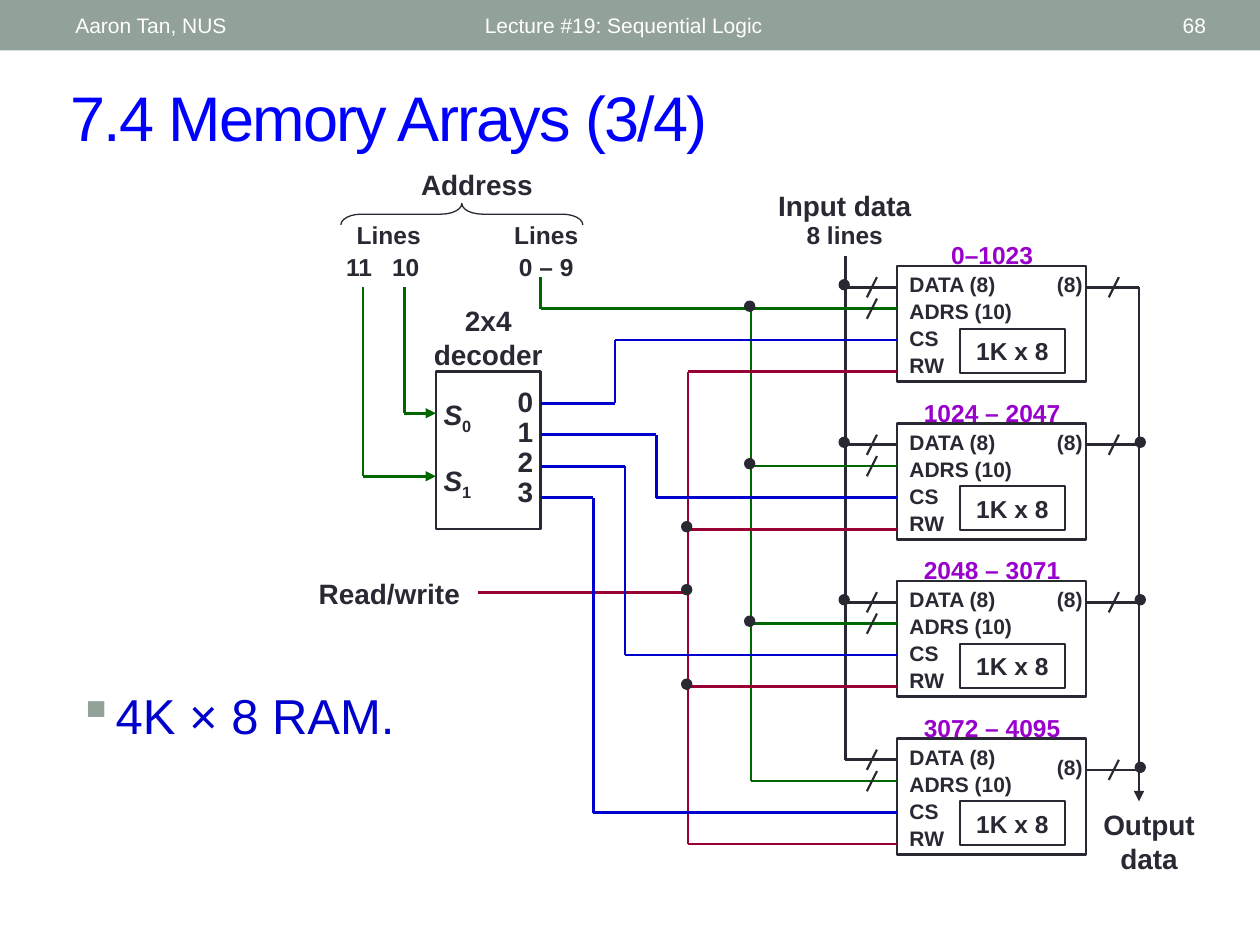
from lxml.etree import SubElement
from pptx import Presentation
from pptx.dml.color import RGBColor
from pptx.enum.shapes import MSO_CONNECTOR, MSO_SHAPE
from pptx.enum.text import MSO_ANCHOR, PP_ALIGN
from pptx.oxml.ns import qn
from pptx.util import Inches, Pt

INK = RGBColor(0x29, 0x29, 0x34)
SAGE = RGBColor(0x93, 0xA2, 0x99)
WHITE = RGBColor(0xFF, 0xFF, 0xFF)
TITLE_BLUE = RGBColor(0x00, 0x00, 0xFF)
BLUE = RGBColor(0x00, 0x00, 0xCC)
GREEN = RGBColor(0x00, 0x66, 0x00)
RED = RGBColor(0x99, 0x00, 0x33)
PURPLE = RGBColor(0x99, 0x00, 0xCC)

HEADERS = [
    ("Lecture #19: Sequential Logic", 3.75, 4.5, PP_ALIGN.LEFT),
    ("68", 8.72, 0.95, PP_ALIGN.RIGHT),
    ("Aaron Tan, NUS", 0.5, 3.17, PP_ALIGN.LEFT),
]
LABELS = [
    ("Address", 3.12, 1.28, 1.33, 0.37, 16),
    ("Lines", 2.71, 1.7, 0.75, 0.33, 14),
    ("Lines", 3.96, 1.7, 0.75, 0.33, 14),
    ("11", 2.6, 1.95, 0.5, 0.33, 14),
    ("10", 2.97, 1.95, 0.5, 0.33, 14),
    ("0 – 9", 3.96, 1.95, 0.75, 0.33, 14),
    ("2x4 decoder", 3.29, 2.36, 1.17, 0.64, 16),
    ("Read/write", 2.38, 4.53, 1.42, 0.37, 16),
    ("Input data", 6.04, 1.45, 1.33, 0.37, 16),
    ("8 lines", 6.29, 1.7, 0.83, 0.33, 14),
    ("Output data", 8.62, 6.36, 1, 0.64, 16),
]
RANGES = ["0–1023", "1024 – 2047", "2048 – 3071", "3072 – 4095"]
PINS = ["DATA (8)", "ADRS (10)", "CS", "RW"]
SELECT_TURNS = [4.88, 5.21, 4.96, 4.71]
OUTPUT_DROPS = [0.17, 0.17, 0.17, 0.25]

CHIP_LEFT, CHIP_TOP, CHIP_WIDTH, CHIP_HEIGHT, CHIP_PITCH = 7.12, 2.11, 1.5, 0.92, 1.25
CHIP_RIGHT = CHIP_LEFT + CHIP_WIDTH
DATA_DROP, ADDRESS_DROP, SELECT_DROP, WRITE_DROP = 0.17, 0.34, 0.59, 0.84
DATA_BUS, ADDRESS_BUS, WRITE_BUS, OUTPUT_BUS = 6.71, 5.96, 5.46, 9.04
DECODER_LEFT, DECODER_RIGHT = 3.46, 4.29
WRITE_INPUT = 4.7

deck = Presentation()
deck.slide_width, deck.slide_height = Inches(10), Inches(7.5)
page = deck.slides.add_slide(deck.slide_layouts[6])


def style(para, size, color, bold=False, align=PP_ALIGN.LEFT):
    para.alignment = align
    para.font.name = "Arial"
    para.font.size = Pt(size)
    para.font.bold = bold
    para.font.color.rgb = color


def write(lines, left, top, width, height, size, color=INK, bold=True,
          align=PP_ALIGN.CENTER, anchor=MSO_ANCHOR.TOP):
    box = page.shapes.add_textbox(*map(Inches, (left, top, width, height)))
    frame = box.text_frame
    frame.word_wrap = True
    frame.vertical_anchor = anchor
    frame.text = "\n".join(lines)
    for para in frame.paragraphs:
        style(para, size, color, bold, align)
    return frame


def draw(kind, left, top, width, height, fill=None, line=INK, weight=1.5):
    shape = page.shapes.add_shape(kind, *map(Inches, (left, top, width, height)))
    shape.shadow.inherit = False
    if fill is None:
        shape.fill.background()
    else:
        shape.fill.solid()
        shape.fill.fore_color.rgb = fill
    if line is None:
        shape.line.fill.background()
    else:
        shape.line.color.rgb = line
        shape.line.width = Pt(weight)
    return shape


def wire(points, color=INK, weight=1.5, arrow=False):
    for start, end in zip(points, points[1:]):
        connector = page.shapes.add_connector(
            MSO_CONNECTOR.STRAIGHT, *map(Inches, (*start, *end)))
        connector.line.color.rgb = color
        connector.line.width = Pt(weight)
        properties = connector._element.spPr
        if arrow and end == points[-1]:
            SubElement(properties.find(qn("a:ln")), qn("a:tailEnd"), type="triangle")
        SubElement(properties, qn("a:effectLst"))


def slash(x, y):
    wire([(x + 0.04, y - 0.08), (x - 0.04, y + 0.08)], weight=1.25)


def dot(x, y):
    draw(MSO_SHAPE.OVAL, x - 0.05, y - 0.06, 0.08, 0.08, INK, weight=0.75)


draw(MSO_SHAPE.RECTANGLE, 0, 0, 10, 0.4, SAGE, None)
for text, left, width, align in HEADERS:
    write([text], left, 0.02, width, 0.36, 12, WHITE, False, align, MSO_ANCHOR.MIDDLE)

title = write(["7.4 Memory Arrays (3/4)"], 0.46, 0.57, 9.21, 0.7, 36, TITLE_BLUE,
              False, PP_ALIGN.LEFT, MSO_ANCHOR.MIDDLE)
title.paragraphs[0].runs[0]._r.get_or_add_rPr().set("spc", "-100")

summary = page.shapes.add_textbox(*map(Inches, (0.52, 5.39, 3.08, 0.67))).text_frame
summary.word_wrap = True
para = summary.paragraphs[0]
para.text = "4K × 8 RAM."
bullet = para._p.get_or_add_pPr()
bullet.set("marL", str(Inches(0.3)))
bullet.set("indent", str(Inches(-0.3)))
SubElement(SubElement(bullet, qn("a:buClr")), qn("a:srgbClr"), val=str(SAGE))
SubElement(bullet, qn("a:buChar"), char="▪")
style(para, 28, BLUE)

for text, left, top, width, height, size in LABELS:
    write([text], left, top, width, height, size)

brace = draw(MSO_SHAPE.LEFT_BRACE, 3.58, 0.74, 0.17, 1.92, weight=0.75)
brace.rotation = 90
brace.adjustments[0] = 0.96

draw(MSO_SHAPE.RECTANGLE, DECODER_LEFT, 2.95, DECODER_RIGHT - DECODER_LEFT, 1.25)
for para in write("0123", 3.96, 3.03, 0.42, 1.07, 16).paragraphs:
    para.line_spacing = 0.9
selectors = write(["S", "S"], 3.38, 3.11, 0.5, 0.82, 16)
for index, para in enumerate(selectors.paragraphs):
    para.line_spacing = 0.9
    para.space_before = Pt(18 * index)
    para.runs[0].font.italic = True
    span = para.add_run()
    span.text = str(index)
    span._r.get_or_add_rPr().set("baseline", "-25000")

for x, y in [(3.21, 3.28), (2.88, 3.78)]:
    wire([(x, 2.28), (x, y), (DECODER_LEFT, y)], GREEN, arrow=True)

last_top = CHIP_TOP + CHIP_PITCH * (len(RANGES) - 1)
first_address = CHIP_TOP + ADDRESS_DROP
wire([(DATA_BUS, 2.03), (DATA_BUS, last_top + DATA_DROP)])
wire([(DECODER_RIGHT, 2.2), (DECODER_RIGHT, first_address), (ADDRESS_BUS, first_address),
      (ADDRESS_BUS, last_top + ADDRESS_DROP)], GREEN)
wire([(3.79, WRITE_INPUT), (WRITE_BUS, WRITE_INPUT)], RED)
wire([(WRITE_BUS, CHIP_TOP + WRITE_DROP), (WRITE_BUS, last_top + WRITE_DROP)], RED)
wire([(OUTPUT_BUS, CHIP_TOP + OUTPUT_DROPS[0]), (OUTPUT_BUS, 6.36)], arrow=True)
dot(WRITE_BUS, WRITE_INPUT)

for index, (addresses, turn, drop) in enumerate(zip(RANGES, SELECT_TURNS, OUTPUT_DROPS)):
    top = CHIP_TOP + CHIP_PITCH * index
    data, address = top + DATA_DROP, top + ADDRESS_DROP
    select, control, output = top + SELECT_DROP, top + WRITE_DROP, top + drop
    decoded = 3.2 + 0.25 * index

    draw(MSO_SHAPE.RECTANGLE, CHIP_LEFT, top, CHIP_WIDTH, CHIP_HEIGHT)
    size_box = draw(MSO_SHAPE.RECTANGLE, CHIP_LEFT + 0.5, top + 0.5, 0.83, 0.35, weight=1.25)
    size_box.text_frame.text = "1K x 8"
    style(size_box.text_frame.paragraphs[0], 14, INK, True, PP_ALIGN.CENTER)
    pins = write(PINS, CHIP_LEFT, top, 1.33, 0.93, 12, align=PP_ALIGN.LEFT)
    for para in pins.paragraphs[1:]:
        para.space_before = Pt(1)
    write(["(8)"], 8.29, output - 0.17, 0.42, 0.3, 12, align=PP_ALIGN.LEFT)
    write([addresses], 7.21, top - 0.25, 1.33, 0.33, 14, PURPLE)

    wire([(DATA_BUS, data), (CHIP_LEFT, data)])
    wire([(ADDRESS_BUS, address), (CHIP_LEFT, address)], GREEN)
    wire([(DECODER_RIGHT, decoded), (turn, decoded), (turn, select),
          (CHIP_LEFT, select)] if decoded != select else
         [(DECODER_RIGHT, decoded), (CHIP_LEFT, select)], BLUE)
    wire([(WRITE_BUS, control), (CHIP_LEFT, control)], RED)
    wire([(CHIP_RIGHT, output), (OUTPUT_BUS, output)])
    slash(6.92, data)
    slash(6.92, address)
    slash(8.84, output)

    if index < len(RANGES) - 1:
        dot(DATA_BUS, data)
        dot(ADDRESS_BUS, address)
    if 0 < index < len(RANGES) - 1:
        dot(WRITE_BUS, control)
    if index:
        dot(OUTPUT_BUS + 0.02, output)

deck.save("out.pptx")
